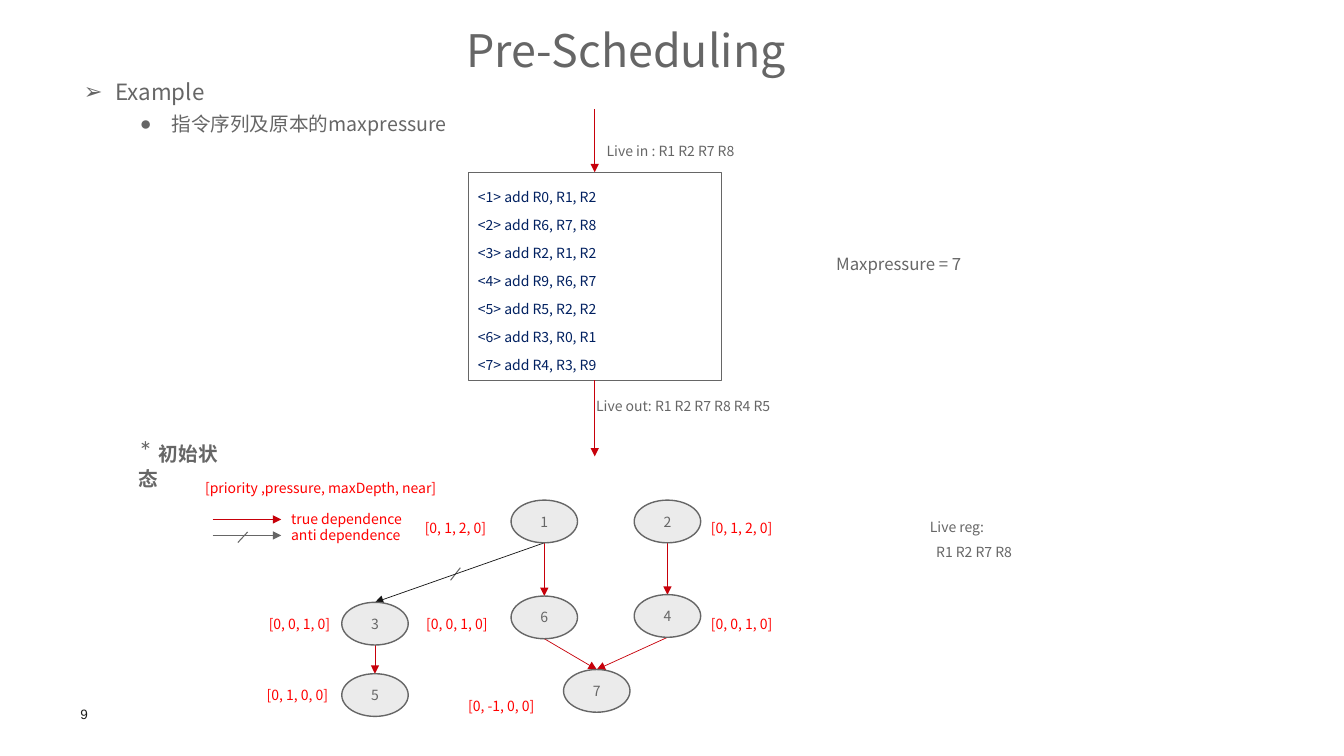
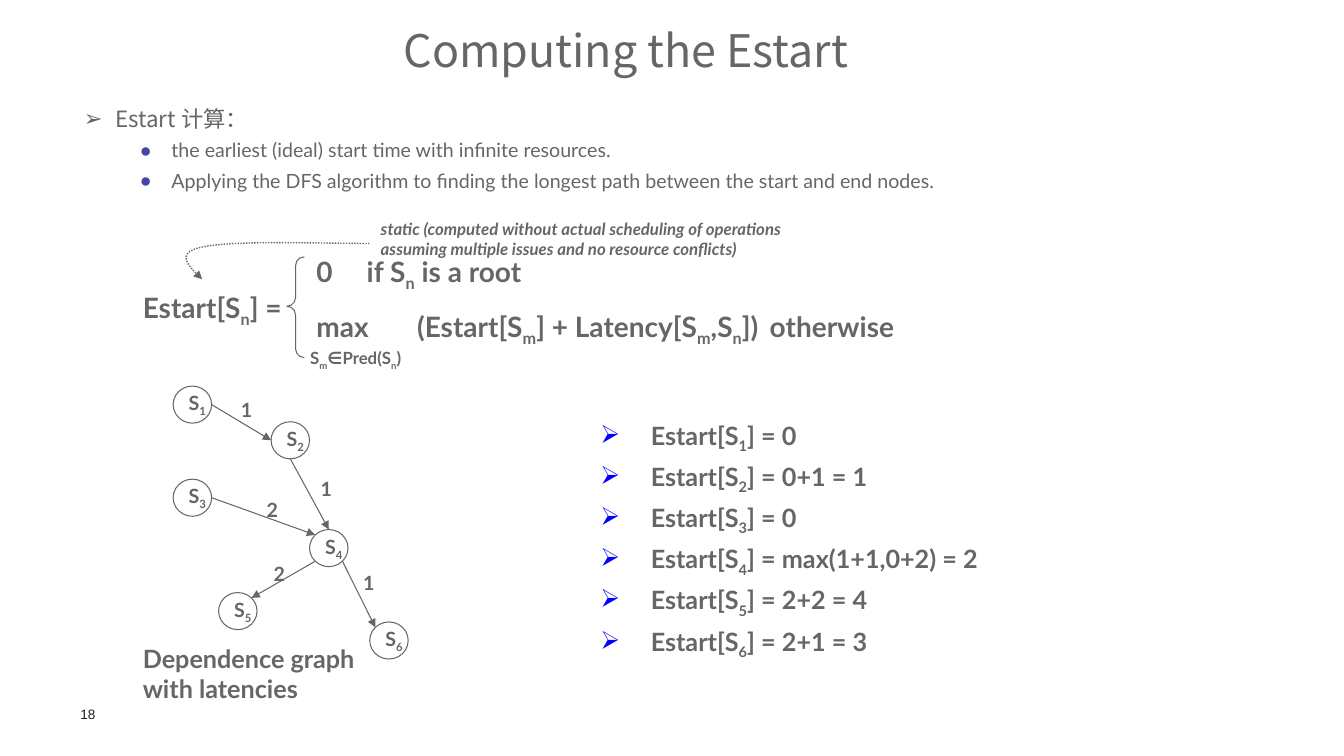
from dataclasses import dataclass, replace
from typing import NamedTuple, Optional, Sequence, Union

from lxml.etree import SubElement
from pptx import Presentation
from pptx.dml.color import RGBColor
from pptx.enum.dml import MSO_LINE
from pptx.enum.shapes import MSO_CONNECTOR, MSO_SHAPE
from pptx.enum.text import MSO_ANCHOR, MSO_AUTO_SIZE, PP_ALIGN
from pptx.oxml.ns import qn
from pptx.util import Length, Pt

GRAY, RED, ARROW_RED = "666666", "FF0000", "C7000A"
NAVY, BLACK, NODE_FILL = "002060", "151515", "EBEBEB"
NOTO, LATO = "Noto Sans CJK SC", "Lato"


@dataclass(frozen=True)
class Style:
    size: float
    font: str = NOTO
    color: str = GRAY
    bold: bool = False
    italic: bool = False


class Run(NamedTuple):
    text: str
    style: Style
    subscript: bool = False


@dataclass(frozen=True)
class Para:
    runs: Sequence[Run]
    align: Optional[PP_ALIGN] = None
    spacing: Union[float, Length] = 1.0
    before: float = 0
    level: int = 0
    left: float = 0
    indent: float = 0
    bullet: str = ""
    bullet_color: str = ""
    tabs: Sequence[float] = ()


class Side(NamedTuple):
    x: float
    y: float


TOP, BOTTOM, LEFT, RIGHT = Side(0, -1), Side(0, 1), Side(-1, 0), Side(1, 0)
TOP_LEFT, TOP_RIGHT = Side(-0.71, -0.71), Side(0.71, -0.71)
BOTTOM_LEFT, BOTTOM_RIGHT = Side(-0.71, 0.71), Side(0.71, 0.71)


class Node(NamedTuple):
    x: float
    y: float
    tag: str = ""
    tag_left: float = 0
    tag_top: float = 0


class Edge(NamedTuple):
    source: int
    target: int
    start: Side = BOTTOM
    end: Side = TOP
    color: str = ARROW_RED


class Label(NamedTuple):
    text: str
    left: float
    top: float


TITLE, SMALL, TAG = Style(32), Style(10), Style(10, color=RED)
FORMULA = Style(20, LATO, bold=True)
GRAPH = Style(14, LATO, bold=True)


def rgb(value: str) -> RGBColor:
    return RGBColor.from_string(value)


def plain(text: str, style: Style, **layout) -> Para:
    return Para([Run(text, style)], **layout)


def subscripted(style: Style, *parts: str) -> list[Run]:
    return [Run(part, style, index % 2 == 1) for index, part in enumerate(parts)]


def add_run(paragraph, item: Run) -> None:
    run = paragraph.add_run()
    run.text = item.text
    font = run.font
    font.size, font.name = Pt(item.style.size), item.style.font
    font.bold, font.italic = item.style.bold, item.style.italic
    font.color.rgb = rgb(item.style.color)
    properties = run._r.get_or_add_rPr()
    SubElement(properties, qn("a:ea")).set("typeface", item.style.font)
    if item.subscript:
        properties.set("baseline", "-25000")


def write(frame, paras: Sequence[Para]) -> None:
    for index, para in enumerate(paras):
        paragraph = frame.paragraphs[0] if index == 0 else frame.add_paragraph()
        paragraph.level = para.level
        paragraph.alignment = para.align or PP_ALIGN.LEFT
        paragraph.line_spacing = para.spacing
        paragraph.space_before, paragraph.space_after = Pt(para.before), Pt(0)
        properties = paragraph._p.get_or_add_pPr()
        properties.set("marL", str(Pt(para.left)))
        properties.set("indent", str(Pt(para.indent)))
        if para.bullet_color:
            color = SubElement(properties, qn("a:buClr"))
            SubElement(color, qn("a:srgbClr")).set("val", para.bullet_color)
        if para.bullet:
            SubElement(properties, qn("a:buChar")).set("char", para.bullet)
        if para.tabs:
            stops = SubElement(properties, qn("a:tabLst"))
            for position in para.tabs:
                SubElement(stops, qn("a:tab"), pos=str(Pt(position)), algn="l")
        for item in para.runs:
            add_run(paragraph, item)


def set_frame(frame, inset: Optional[float] = None, wrap: bool = True, anchor=MSO_ANCHOR.TOP) -> None:
    frame.auto_size = MSO_AUTO_SIZE.NONE
    frame.word_wrap = wrap
    frame.vertical_anchor = anchor
    if inset is not None:
        frame.margin_left = frame.margin_right = Pt(inset)
        frame.margin_top = frame.margin_bottom = Pt(inset)


def add_text(slide, left: float, top: float, width: float, height: float,
             paras: Sequence[Para], inset: Optional[float] = None, wrap: bool = True) -> None:
    box = slide.shapes.add_textbox(Pt(left), Pt(top), Pt(width), Pt(height))
    set_frame(box.text_frame, inset, wrap)
    write(box.text_frame, paras)


def fill_placeholder(holder, left: float, top: float, width: float, height: float,
                     paras: Sequence[Para]) -> None:
    holder.left, holder.top, holder.width, holder.height = Pt(left), Pt(top), Pt(width), Pt(height)
    set_frame(holder.text_frame, 0)
    write(holder.text_frame, paras)


def new_slide(deck, number: str, title: str, body_top: float, body: Sequence[Para]):
    slide = deck.slides.add_slide(deck.slide_layouts[1])
    heading = plain(title, TITLE, align=PP_ALIGN.CENTER, spacing=Pt(34.3))
    fill_placeholder(slide.shapes.title, 24.5, 20, 846, 35, [heading])
    fill_placeholder(slide.placeholders[1], 58.5, body_top, 845, 417.5, body)
    add_text(slide, 57.5, 504, 40, 12, [plain(number, Style(9.7, "Arial", "1D1D1B"))], 0)
    return slide


def topic(text: str) -> Para:
    return plain(text, Style(16), left=24, indent=-22.5, bullet="➢")


def detail(text: str, font: str, bullet_color: str = "") -> Para:
    return plain(text, Style(14, font), level=1, left=64, indent=-22.5, spacing=0.9,
                 before=6.5, bullet="●", bullet_color=bullet_color)


def add_outline(slide, preset, left: float, top: float, width: float, height: float,
                fill: str = "", weight: float = 0.75):
    shape = slide.shapes.add_shape(preset, Pt(left), Pt(top), Pt(width), Pt(height))
    shape.shadow.inherit = False
    if fill:
        shape.fill.solid()
        shape.fill.fore_color.rgb = rgb(fill)
    else:
        shape.fill.background()
    shape.line.color.rgb, shape.line.width = rgb(GRAY), Pt(weight)
    return shape


def add_head(shape) -> None:
    SubElement(shape.line._get_or_add_ln(), qn("a:tailEnd")).set("type", "triangle")


def add_line(slide, x1: float, y1: float, x2: float, y2: float, color: str = GRAY,
             weight: float = 0.75, arrow: bool = True):
    line = slide.shapes.add_connector(MSO_CONNECTOR.STRAIGHT, Pt(x1), Pt(y1), Pt(x2), Pt(y2))
    line.line.color.rgb, line.line.width = rgb(color), Pt(weight)
    if arrow:
        add_head(line)
    SubElement(line._element.spPr, qn("a:effectLst"))
    return line


def add_graph(slide, nodes: dict[int, Node], edges: Sequence[Edge], width: float, height: float,
              edge_weight: float) -> None:
    for edge in edges:
        source, target = nodes[edge.source], nodes[edge.target]
        add_line(slide, source.x + edge.start.x * width / 2, source.y + edge.start.y * height / 2,
                 target.x + edge.end.x * width / 2, target.y + edge.end.y * height / 2,
                 edge.color, edge_weight)


def add_node(slide, node: Node, width: float, height: float, para: Para,
             fill: str = "", weight: float = 0.75, wrap: bool = True) -> None:
    ellipse = add_outline(slide, MSO_SHAPE.OVAL, node.x - width / 2, node.y - height / 2,
                          width, height, fill, weight)
    set_frame(ellipse.text_frame, wrap=wrap, anchor=MSO_ANCHOR.MIDDLE)
    write(ellipse.text_frame, [para])


def build_pre_scheduling(deck) -> None:
    slide = new_slide(deck, "9", "Pre-Scheduling", 56,
                      [topic("Example"), detail("指令序列及原本的maxpressure", NOTO)])
    add_text(slide, 590.5, 170.5, 150, 29, [plain("Maxpressure = 7", Style(12), spacing=1.5)])

    operands = ["R0, R1, R2", "R6, R7, R8", "R2, R1, R2", "R9, R6, R7",
                "R5, R2, R2", "R3, R0, R1", "R4, R3, R9"]
    instructions = add_outline(slide, MSO_SHAPE.RECTANGLE, 334.5, 123, 181, 148.5)
    set_frame(instructions.text_frame)
    write(instructions.text_frame,
          [plain(f"<{number}> add {names}", Style(10, color=NAVY), spacing=Pt(20))
           for number, names in enumerate(operands, 1)])
    live_in = add_line(slide, 425, 78, 425, 123, ARROW_RED, 0.5)
    live_in.end_connect(instructions, 0)
    live_out = add_line(slide, 425, 271.5, 425, 326, ARROW_RED, 0.5)
    live_out.begin_connect(instructions, 2)
    for live in (Label("Live in : R1 R2 R7 R8", 426.5, 92),
                 Label("Live out: R1 R2 R7 R8 R4 R5", 419, 274.5)):
        add_text(slide, live.left, live.top, 150, 23, [plain(live.text, SMALL, spacing=1.5)])
    add_text(slide, 657.5, 360.5, 150, 44,
             [plain("Live reg:", SMALL, spacing=1.5),
              plain("R1 R2 R7 R8", SMALL, spacing=1.5, left=4.5)])
    add_text(slide, 92, 306, 84, 32,
             [Para([Run("* ", Style(20, "Calibri")), Run("初始状态", Style(14, "Calibri", bold=True))])])

    add_text(slide, 139.5, 339, 217.5, 19.5, [plain("[priority ,pressure, maxDepth, near]", TAG)])
    for legend, color, y in (("true dependence", ARROW_RED, 371), ("anti dependence", GRAY, 382.5)):
        add_line(slide, 152, y, 201, y, color, 0.5)
        add_text(slide, 201, y - 10, 98, 19.5, [plain(legend, TAG)])
    add_line(slide, 170, 387.5, 177, 380, arrow=False)
    add_line(slide, 322, 414.5, 329, 405.5, arrow=False)

    nodes = {
        1: Node(389, 372.5, "[0, 1, 2, 0]", 296.5, 345.5),
        2: Node(477, 372.5, "[0, 1, 2, 0]", 501, 345),
        3: Node(268, 445.5, "[0, 0, 1, 0]", 185, 413.5),
        4: Node(477, 440, "[0, 0, 1, 0]", 501, 413.5),
        5: Node(268, 496.5, "[0, 1, 0, 0]", 183.5, 464.5),
        6: Node(389, 441, "[0, 0, 1, 0]", 297.5, 414),
        7: Node(426.5, 493.5, "[0, -1, 0, 0]", 327.5, 472.5),
    }
    edges = [Edge(1, 3, color=BLACK), Edge(1, 6), Edge(2, 4), Edge(6, 7), Edge(4, 7), Edge(3, 5)]
    add_graph(slide, nodes, edges, 47.5, 30.5, 0.5)
    for number, node in nodes.items():
        add_node(slide, node, 47.5, 30.5, plain(str(number), SMALL, align=PP_ALIGN.CENTER),
                 NODE_FILL, 1)
        add_text(slide, node.tag_left, node.tag_top, 68.5, 42,
                 [plain(node.tag, TAG, spacing=Pt(34.4))])


def add_curved_arrow(slide, start: tuple, segments: Sequence[tuple], steps: int = 16) -> None:
    points, origin = [], start
    for control_1, control_2, end in segments:
        for step in range(1, steps + 1):
            t = step / steps
            points.append(tuple(
                Pt((1 - t) ** 3 * a + 3 * (1 - t) ** 2 * t * b + 3 * (1 - t) * t ** 2 * c + t ** 3 * d)
                for a, b, c, d in zip(origin, control_1, control_2, end)))
        origin = end
    builder = slide.shapes.build_freeform(Pt(start[0]), Pt(start[1]))
    builder.add_line_segments(points, close=False)
    curve = builder.convert_to_shape()
    curve.shadow.inherit = False
    curve.fill.background()
    curve.line.color.rgb, curve.line.width = rgb(GRAY), Pt(1)
    curve.line.dash_style = MSO_LINE.ROUND_DOT
    add_head(curve)


def build_estart(deck) -> None:
    slide = new_slide(deck, "18", "Computing the Estart", 75, [
        topic("Estart 计算："),
        detail("the earliest (ideal) start time with infinite resources.", LATO, "4545A5"),
        detail("Applying the DFS algorithm to finding the longest path between the start and end nodes.",
               LATO, "4545A5")])

    condition = replace(FORMULA, size=12)
    add_text(slide, 214.5, 178.5, 505.5, 82, [
        Para(subscripted(FORMULA, "0\tif S", "n", " is a root"), left=4.5, tabs=[337.5]),
        Para(subscripted(FORMULA, "max\t(Estart[S", "m", "] + Latency[S", "m", ",S", "n", "])\totherwise"),
             left=4.5, before=12, tabs=[52, 344.5]),
        Para(subscripted(condition, "S", "m", "∈Pred(S", "n", ")"))])
    brace = add_outline(slide, MSO_SHAPE.LEFT_BRACE, 205, 183.5, 12.5, 72)
    brace.adjustments[0], brace.adjustments[1] = 0.5, 0.49
    add_text(slide, 95, 204, 130, 31.5, [Para(subscripted(FORMULA, "Estart[S", "n", "] ="))])
    add_text(slide, 265, 152.5, 333.5, 36, [plain(
        "static (computed without actual scheduling of operations "
        "assuming multiple issues and no resource conflicts)",
        Style(12, LATO, bold=True, italic=True))])
    add_curved_arrow(slide, (264, 174), [((214.5, 173.5), (165, 172), (144.5, 176.5)),
                                         ((124.5, 180.5), (134.5, 190), (144.5, 199.5))])

    answer = replace(FORMULA, size=18)
    values = ["0", "0+1 = 1", "0", "max(1+1,0+2) = 2", "2+2 = 4", "2+1 = 3"]
    add_text(slide, 422, 291.5, 326, 191, [
        Para(subscripted(answer, "Estart[S", str(number), f"] = {value}"), spacing=1.2,
             left=36, indent=-36, bullet="➢", bullet_color="0000FF")
        for number, value in enumerate(values, 1)])

    nodes = {1: Node(137.5, 289), 2: Node(207.5, 314.5), 3: Node(137.5, 355.5),
             4: Node(235, 391.5), 5: Node(170, 436.5), 6: Node(278, 457.5)}
    edges = [Edge(1, 2, RIGHT, LEFT, GRAY), Edge(2, 4, BOTTOM, TOP, GRAY),
             Edge(3, 4, RIGHT, TOP_LEFT, GRAY), Edge(4, 5, BOTTOM_LEFT, TOP_RIGHT, GRAY),
             Edge(4, 6, BOTTOM_RIGHT, TOP_LEFT, GRAY)]
    add_graph(slide, nodes, edges, 27.5, 26.5, 0.75)
    for number, node in nodes.items():
        add_node(slide, node, 27.5, 26.5, Para(subscripted(GRAPH, "S", str(number))), wrap=False)
    for latency in (Label("1", 165, 281), Label("1", 222, 337), Label("2", 183.5, 352),
                    Label("2", 188.5, 398), Label("1", 252.5, 404)):
        add_text(slide, latency.left, latency.top, 23, 24, [plain(latency.text, GRAPH)], wrap=False)
    add_text(slide, 95, 456, 180.5, 51, [plain("Dependence graph with latencies", answer)])


def main() -> None:
    deck = Presentation()
    deck.slide_width, deck.slide_height = Pt(960.5), Pt(540)
    build_pre_scheduling(deck)
    build_estart(deck)
    deck.save("out.pptx")


if __name__ == "__main__":
    main()
